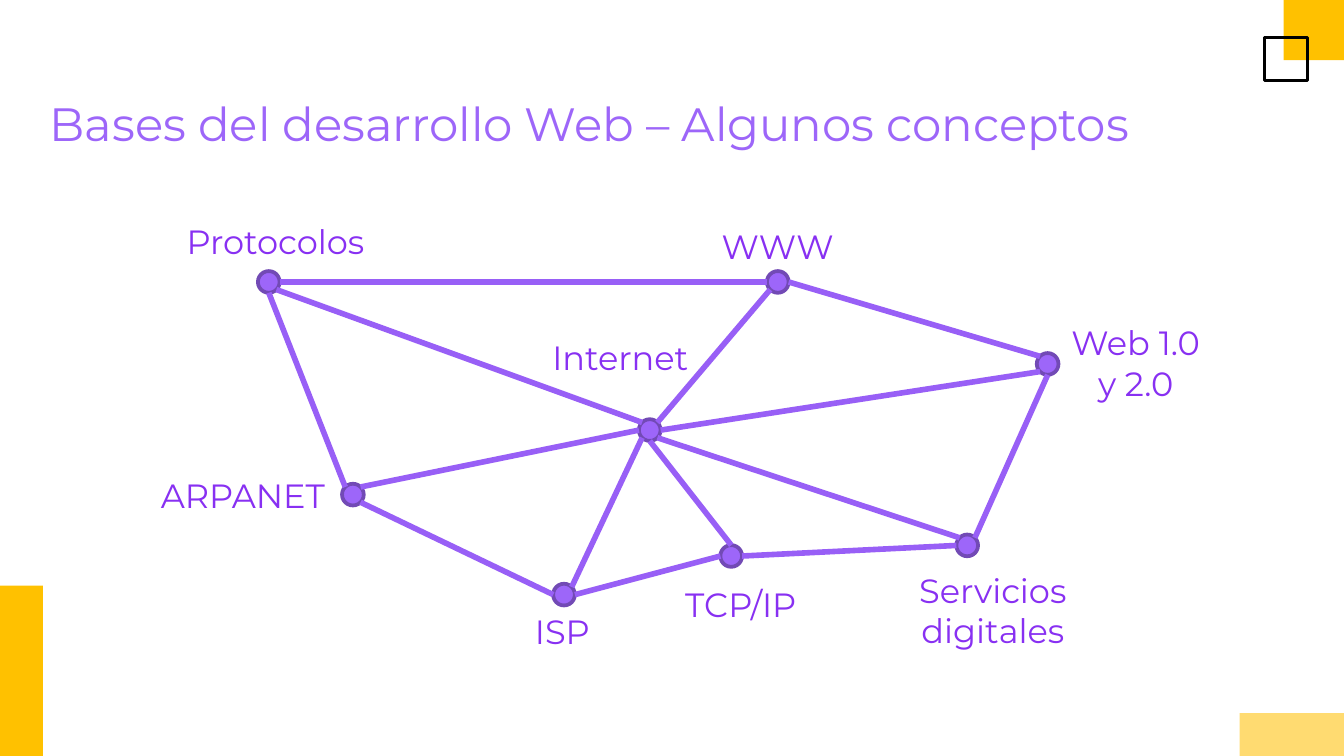
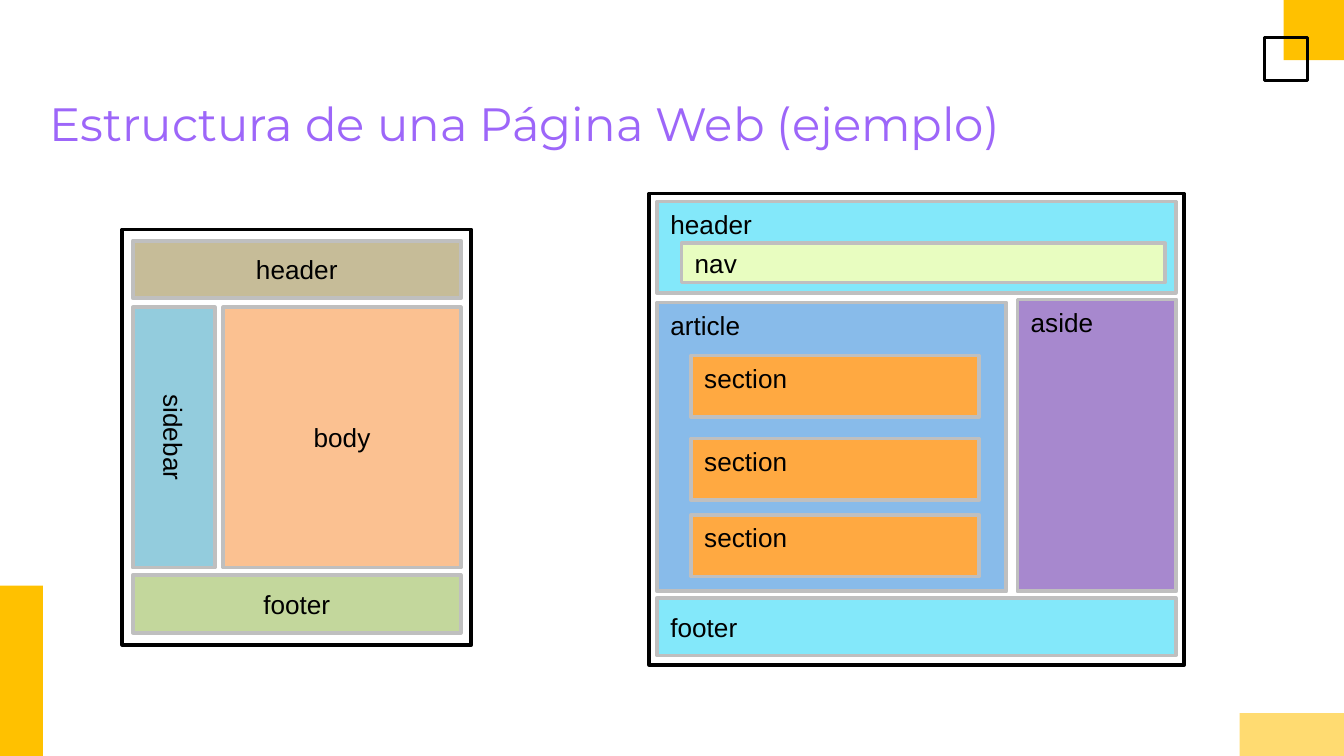
from math import cos, radians, sin

from lxml import etree
from pptx import Presentation
from pptx.dml.color import RGBColor
from pptx.enum.shapes import MSO_CONNECTOR, MSO_SHAPE, PP_PLACEHOLDER
from pptx.enum.text import MSO_ANCHOR, MSO_AUTO_SIZE, PP_ALIGN
from pptx.oxml.ns import qn
from pptx.util import Cm, Pt

COLORS = {
    "yellow": "FFC100", "pale_yellow": "FFDB71", "black": "000000",
    "title": "9D66F9", "label": "8830F2", "edge": "985FF6",
    "node": "9D66F9", "node_line": "724AB5", "block_line": "BFBFBF",
    "sand": "C6BC98", "green": "C3D79C", "teal": "93CCDD", "peach": "FBC191",
    "cyan": "83E8FA", "purple": "A788CE", "blue": "88BBEA",
    "orange": "FFA941", "lime": "E8FDC0",
}
HEADING_FONT, BLOCK_FONT = "Montserrat", "Arial"
LEFT, CENTER = PP_ALIGN.LEFT, PP_ALIGN.CENTER
TOP, MIDDLE = MSO_ANCHOR.TOP, MSO_ANCHOR.MIDDLE

# All boxes are (left, top, width, height) in cm
TITLE_BOX = (0.69, 1.55, 24.05, 1.6)
DECORATIONS = [  # box, fill, line
    ((24.26, 0, 1.14, 1.14), "yellow", None),
    ((0, 11.07, 0.81, 3.22), "yellow", None),
    ((23.9, 0.71, 0.81, 0.81), None, "black"),
    ((23.43, 13.48, 1.97, 0.81), "pale_yellow", None),
]

# Concept network: node centre, label box, label alignment
CONCEPTS_TITLE = "Bases del desarrollo Web – Algunos conceptos"
CONCEPTS = {
    "Protocolos": ((5.08, 5.33), (3.28, 4.06, 3.99, 1.02), LEFT),
    "ARPANET": ((6.67, 9.35), (2.79, 8.86, 3.71, 1.02), LEFT),
    "Internet": ((12.28, 8.13), (10.19, 6.25, 3.18, 1.02), LEFT),
    "WWW": ((14.7, 5.33), (13.39, 4.14, 2.67, 1.02), LEFT),
    "Servicios\ndigitales": ((18.28, 10.31), (17.04, 10.64, 3.45, 1.8), CENTER),
    "Web 1.0\ny 2.0": ((19.8, 6.88), (19.94, 5.97, 3.05, 1.8), CENTER),
    "ISP": ((10.66, 11.24), (9.86, 11.43, 1.57, 1.02), LEFT),
    "TCP/IP": ((13.82, 10.51), (12.7, 10.92, 2.72, 1.02), LEFT),
}
NODE_SIZE = 0.41
COMPASS = {"E": 0, "SE": 45, "S": 90, "SW": 135,
           "W": 180, "NW": 225, "N": 270, "NE": 315}
LINKS = [  # start, side it leaves from, end, side it arrives at
    ("Protocolos", "E", "WWW", "W"),
    ("WWW", "E", "Web 1.0\ny 2.0", "NW"),
    ("Web 1.0\ny 2.0", "S", "Servicios\ndigitales", "NE"),
    ("Servicios\ndigitales", "W", "TCP/IP", "E"),
    ("ISP", "E", "TCP/IP", "W"),
    ("ARPANET", "SE", "ISP", "W"),
    ("Internet", "SE", "Servicios\ndigitales", "NW"),
    ("Internet", "NE", "WWW", "SW"),
    ("ARPANET", "NW", "Protocolos", "S"),
    ("Web 1.0\ny 2.0", "SW", "Internet", "E"),
    ("Internet", "W", "ARPANET", "NE"),
    ("Internet", "NW", "Protocolos", "SE"),
    ("Internet", "S", "TCP/IP", "N"),
    ("Internet", "SW", "ISP", "NE"),
]

# Page wireframes: block text, box, fill, vertical anchor, rotation
STRUCTURE_TITLE = "Estructura de una Página Web (ejemplo)"
WIREFRAMES = [
    {"frame": (2.31, 4.34, 6.6, 7.85), "align": CENTER, "blocks": [
        ("header", (2.51, 4.55, 6.2, 1.09), "sand", MIDDLE, 0),
        ("footer", (2.51, 10.87, 6.2, 1.09), "green", MIDDLE, 0),
        ("sidebar", (2.51, 5.81, 1.55, 4.92), "teal", MIDDLE, 90),
        ("body", (4.22, 5.81, 4.49, 4.92), "peach", MIDDLE, 0),
    ]},
    {"frame": (12.27, 3.66, 10.11, 8.91), "align": LEFT, "blocks": [
        ("header", (12.42, 3.81, 9.8, 1.73), "cyan", TOP, 0),
        ("footer", (12.42, 11.3, 9.8, 1.09), "cyan", MIDDLE, 0),
        ("aside", (19.23, 5.66, 3, 5.52), "purple", TOP, 0),
        ("article", (12.42, 5.72, 6.6, 5.46), "blue", TOP, 0),
        *[("section", (13.06, top, 5.44, 1.17), "orange", TOP, 0)
          for top in (6.72, 8.29, 9.73)],
        ("nav", (12.88, 4.6, 9.14, 0.74), "lime", MIDDLE, 0),
    ]},
]


def rgb(color):
    return RGBColor.from_string(COLORS[color])


def add_figure(shapes, box, fill=None, line=None, width=2, kind=MSO_SHAPE.RECTANGLE):
    figure = shapes.add_shape(kind, *map(Cm, box))
    figure.shadow.inherit = False
    if fill:
        figure.fill.solid()
        figure.fill.fore_color.rgb = rgb(fill)
    else:
        figure.fill.background()
    if line:
        figure.line.color.rgb = rgb(line)
        figure.line.width = Pt(width)
    else:
        figure.line.fill.background()
    return figure


def write(frame, text, font, size, color, align=LEFT, anchor=TOP):
    frame.text = text
    frame.word_wrap = True
    frame.vertical_anchor = anchor
    for paragraph in frame.paragraphs:
        paragraph.alignment = align
        for run in paragraph.runs:
            run.font.name = font
            run.font.size = Pt(size)
            run.font.color.rgb = rgb(color)


def add_titled_slide(deck, layout, text):
    slide = deck.slides.add_slide(layout)
    title = slide.shapes.title
    title.left, title.top, title.width, title.height = map(Cm, TITLE_BOX)
    frame = title.text_frame
    write(frame, text, HEADING_FONT, 25, "title")
    frame.auto_size = MSO_AUTO_SIZE.NONE
    frame.margin_left = frame.margin_right = Cm(0.25)
    frame.margin_top = frame.margin_bottom = Cm(0.25)
    return slide


def decorate_layout(layout, slide):
    """Draw the corner squares once and move them to the shared layout."""
    for placeholder in list(layout.placeholders):
        if placeholder.placeholder_format.type != PP_PLACEHOLDER.TITLE:
            placeholder.element.getparent().remove(placeholder.element)
    for box, fill, line in DECORATIONS:
        square = add_figure(slide.shapes, box, fill, line, 1.5)
        layout.shapes.element.append(square.element)


def rim_point(concept, side):
    (x, y), angle = CONCEPTS[concept][0], radians(COMPASS[side])
    radius = NODE_SIZE / 2
    return Cm(x + radius * cos(angle)), Cm(y + radius * sin(angle))


def draw_network(slide):
    # Nodes
    for (x, y), _, _ in CONCEPTS.values():
        box = (x - NODE_SIZE / 2, y - NODE_SIZE / 2, NODE_SIZE, NODE_SIZE)
        add_figure(slide.shapes, box, "node", "node_line", kind=MSO_SHAPE.OVAL)
    # Links
    for start, start_side, end, end_side in LINKS:
        link = slide.shapes.add_connector(
            MSO_CONNECTOR.STRAIGHT, *rim_point(start, start_side),
            *rim_point(end, end_side))
        link.line.color.rgb = rgb("edge")
        link.line.width = Pt(3)
        etree.SubElement(link.element.spPr, qn("a:effectLst"))
    # Labels
    for concept, (_, box, align) in CONCEPTS.items():
        label = slide.shapes.add_textbox(*map(Cm, box))
        write(label.text_frame, concept, HEADING_FONT, 18, "label", align)


def draw_wireframe(slide, wireframe):
    group = slide.shapes.add_group_shape()
    add_figure(group.shapes, wireframe["frame"], line="black")
    for text, box, fill, anchor, rotation in wireframe["blocks"]:
        if rotation:  # swap the sides around the same centre
            left, top, width, height = box
            shift = (width - height) / 2
            box = (left + shift, top - shift, height, width)
        block = add_figure(group.shapes, box, fill, "block_line")
        block.rotation = rotation
        write(block.text_frame, text, BLOCK_FONT, 14, "black",
              wireframe["align"], anchor)


def main():
    deck = Presentation()
    deck.slide_width, deck.slide_height = Cm(25.4), Cm(14.29)
    layout = deck.slide_layouts.get_by_name("Title Only")

    concepts = add_titled_slide(deck, layout, CONCEPTS_TITLE)
    decorate_layout(layout, concepts)
    draw_network(concepts)

    structure = add_titled_slide(deck, layout, STRUCTURE_TITLE)
    for wireframe in WIREFRAMES:
        draw_wireframe(structure, wireframe)

    deck.save("out.pptx")


if __name__ == "__main__":
    main()
